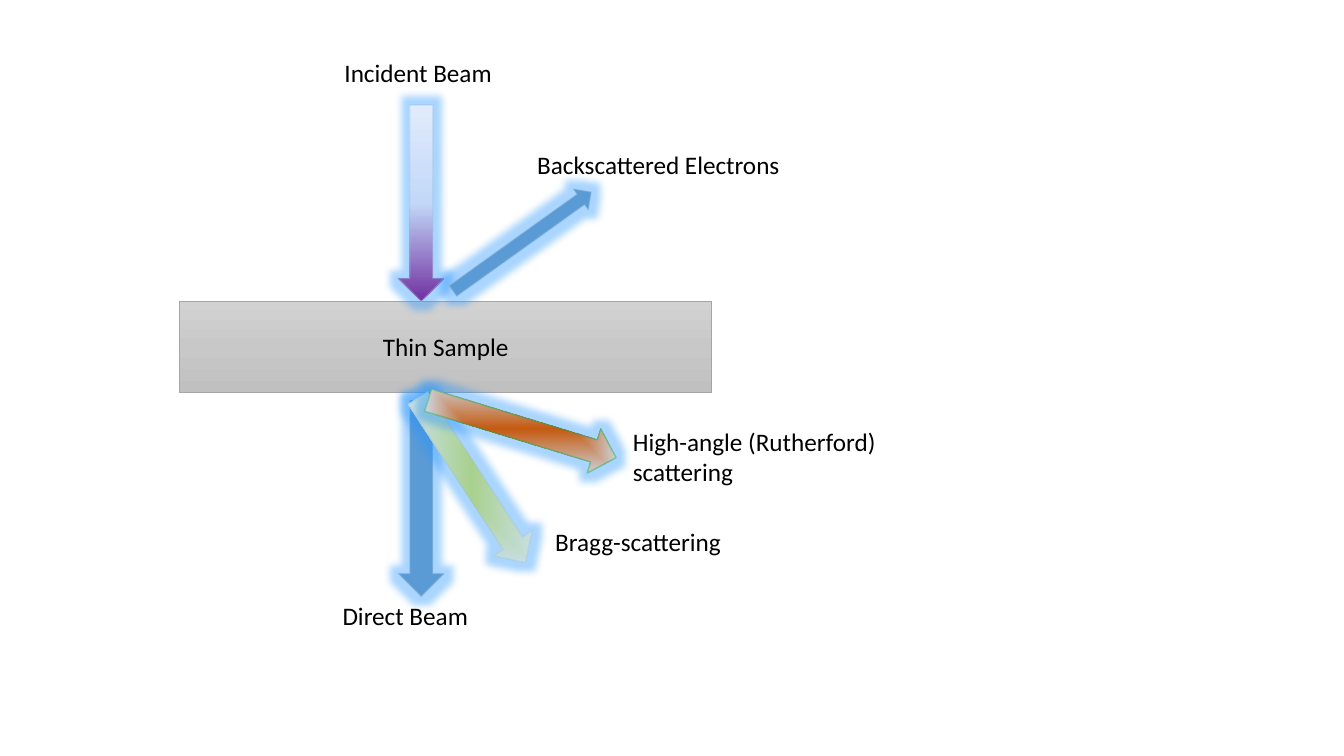
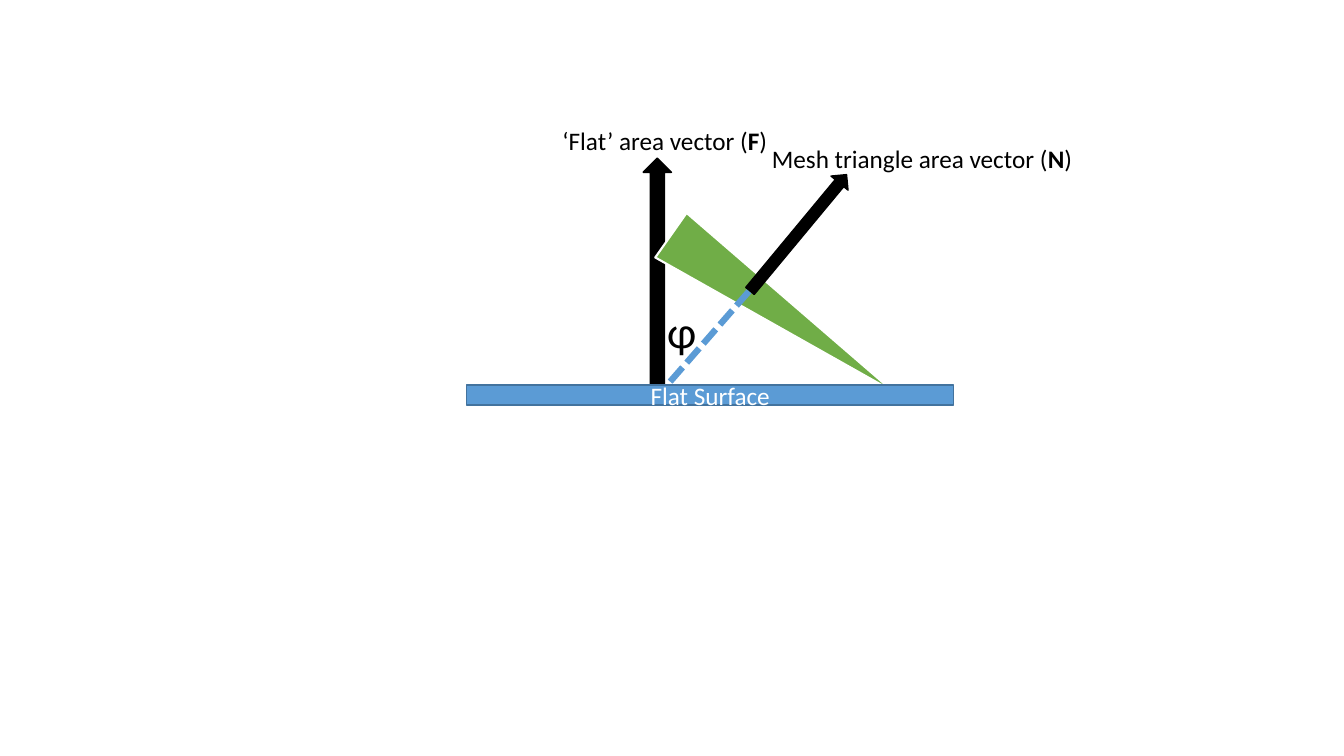
from pptx import Presentation
from pptx.dml.color import RGBColor
from pptx.enum.dml import MSO_LINE
from pptx.enum.shapes import MSO_CONNECTOR, MSO_SHAPE as SHAPE
from pptx.enum.text import MSO_ANCHOR, MSO_AUTO_SIZE, PP_ALIGN
from pptx.oxml import parse_xml
from pptx.oxml.ns import nsdecls, qn
from pptx.util import Pt

BLACK = RGBColor(0x00, 0x00, 0x00)
WHITE = RGBColor(0xFF, 0xFF, 0xFF)
BLUE = RGBColor(0x5B, 0x9B, 0xD5)
DARK_BLUE = RGBColor(0x43, 0x73, 0x9E)
LIGHT_BLUE = RGBColor(0x9D, 0xC3, 0xE6)
PALE_BLUE = RGBColor(0xCE, 0xE1, 0xF2)
BEAM_TOP = RGBColor(0xE1, 0xEB, 0xFB)
BEAM_MIDDLE = RGBColor(0xC2, 0xD8, 0xF8)
PURPLE = RGBColor(0x70, 0x30, 0xA0)
ORANGE = RGBColor(0xC5, 0x5A, 0x11)
GREEN = RGBColor(0x70, 0xAD, 0x47)
LIGHT_GREEN = RGBColor(0xA9, 0xD1, 0x8E)
LINE_GREEN = RGBColor(0x00, 0xB0, 0x50)
GREY = RGBColor(0xA5, 0xA5, 0xA5)
GREY_TOP = RGBColor(0xD2, 0xD2, 0xD2)
GREY_MIDDLE = RGBColor(0xC8, 0xC8, 0xC8)
GREY_BOTTOM = RGBColor(0xC0, 0xC0, 0xC0)
GLOW = RGBColor(0x28, 0x96, 0xFF)
FONT = "Calibri"


def add_figure(page, kind, place, fill, line, weight=1, turn=0):
    figure = page.shapes.add_shape(kind, *[Pt(length) for length in place])
    figure.shadow.inherit = False
    figure.rotation = turn
    figure.line.color.rgb = line
    figure.line.width = Pt(weight)
    if isinstance(fill, RGBColor):
        figure.fill.solid()
        figure.fill.fore_color.rgb = fill
        return figure
    stops, angle = fill
    stop_xml = "".join(
        f'<a:gs pos="{position * 1000}"><a:srgbClr val="{color}"/></a:gs>'
        for position, color in stops)
    if angle is None:
        direction = ('<a:path path="shape"><a:fillToRect l="50000" t="50000" '
                     'r="50000" b="50000"/></a:path>')
    else:
        direction = f'<a:lin ang="{angle * 60000}" scaled="0"/>'
    figure.fill.background()
    properties = figure._element.spPr
    properties.replace(properties.find(qn("a:noFill")), parse_xml(
        f'<a:gradFill {nsdecls("a")} rotWithShape="1">'
        f'<a:gsLst>{stop_xml}</a:gsLst>{direction}</a:gradFill>'))
    return figure


def add_text(box, spans, size=18, color=BLACK):
    para = box.text_frame.paragraphs[0]
    for text, bold in spans:
        span = para.add_run()
        span.text = text
        span.font.name = FONT
        span.font.size = Pt(size)
        span.font.bold = bold
        span.font.color.rgb = color
    return para


deck = Presentation()
deck.slide_width = Pt(960)
deck.slide_height = Pt(540)
blank = deck.slide_layouts[6]
beam_page = deck.slides.add_slide(blank)
vector_page = deck.slides.add_slide(blank)

sample_fill = ([(0, GREY_TOP), (50, GREY_MIDDLE), (100, GREY_BOTTOM)], 90)
sample = add_figure(beam_page, SHAPE.RECTANGLE, (128.2, 215.3, 380.2, 64.8),
                    sample_fill, GREY, 0.5)

incident_fill = ([(0, PURPLE), (50, BEAM_MIDDLE), (100, BEAM_TOP)], 270)
bragg_fill = ([(0, LIGHT_GREEN), (100, PALE_BLUE)], None)
rutherford_fill = ([(0, ORANGE), (100, PALE_BLUE)], None)
beams = [
    ((284.4, 74.9, 33.1, 140.4), incident_fill, LIGHT_BLUE, 0),
    ((363.6, 111.6, 18.7, 121.7), BLUE, LIGHT_BLUE, 234.4),
    ((284.4, 285.8, 33.1, 140.4), BLUE, LIGHT_BLUE, 0),
    ((320.4, 272.9, 33.1, 140.4), bragg_fill, LIGHT_BLUE, 326.8),
    ((356.4, 236.2, 33.1, 140.4), rutherford_fill, LINE_GREEN, 287),
]
for place, fill, line, turn in beams:
    beam = add_figure(beam_page, SHAPE.DOWN_ARROW, place, fill, line, 1, turn)
    properties = beam._element.spPr
    properties.find(qn("a:effectLst")).append(parse_xml(
        f'<a:glow {nsdecls("a")} rad="139700"><a:srgbClr val="{GLOW}">'
        '<a:alpha val="40000"/></a:srgbClr></a:glow>'))
    line_color = properties.find(qn("a:ln")).find(".//" + qn("a:srgbClr"))
    line_color.append(parse_xml(f'<a:alpha {nsdecls("a")} val="40000"/>'))

add_figure(vector_page, SHAPE.UP_ARROW, (459.4, 113, 20.2, 162), BLACK, BLACK)
add_figure(vector_page, SHAPE.ISOSCELES_TRIANGLE, (539.3, 126.7, 38.9, 194.4),
           GREEN, WHITE, 1.5, 125.1)
add_figure(vector_page, SHAPE.UP_ARROW, (562.3, 112.3, 15.8, 108),
           BLACK, BLACK, 1, 39.7)
surface = add_figure(vector_page, SHAPE.RECTANGLE, (333.4, 275, 347.8, 14.4),
                     BLUE, DARK_BLUE)

for box, text, color in [(sample, "Thin Sample", BLACK),
                         (surface, "Flat Surface", WHITE)]:
    box.text_frame.vertical_anchor = MSO_ANCHOR.MIDDLE
    add_text(box, [(text, False)], color=color).alignment = PP_ALIGN.CENTER

normal = vector_page.shapes.add_connector(
    MSO_CONNECTOR.STRAIGHT, Pt(535), Pt(208.1), Pt(476.6), Pt(275))
normal.line.color.rgb = BLUE
normal.line.width = Pt(4.5)
normal.line.dash_style = MSO_LINE.SQUARE_DOT
normal._element.spPr.append(parse_xml(f'<a:effectLst {nsdecls("a")}/>'))

labels = [
    (beam_page, (239, 37.4, 196.6, 29), 18, [("Incident Beam", False)]),
    (beam_page, (376.6, 103, 196.6, 29), 18, [("Backscattered Electrons", False)]),
    (beam_page, (445, 301, 196.6, 51), 18,
     [("High-angle (Rutherford) scattering", False)]),
    (beam_page, (389.5, 372.2, 196.6, 29), 18, [("Bragg-scattering", False)]),
    (beam_page, (237.6, 425.5, 196.6, 29), 18, [("Direct Beam", False)]),
    (vector_page, (394.6, 85.7, 164.9, 29), 18,
     [("‘Flat’ area vector (", False), ("F", True), (")", False)]),
    (vector_page, (544.3, 98.6, 242.6, 29), 18,
     [("Mesh triangle area vector (", False), ("N", True), (")", False)]),
    (vector_page, (469.4, 213.1, 30.2, 46), 32, [("φ", False)]),
]
for page, place, size, spans in labels:
    box = page.shapes.add_textbox(*[Pt(length) for length in place])
    box.text_frame.word_wrap = True
    box.text_frame.auto_size = MSO_AUTO_SIZE.SHAPE_TO_FIT_TEXT
    add_text(box, spans, size)

deck.save("out.pptx")
